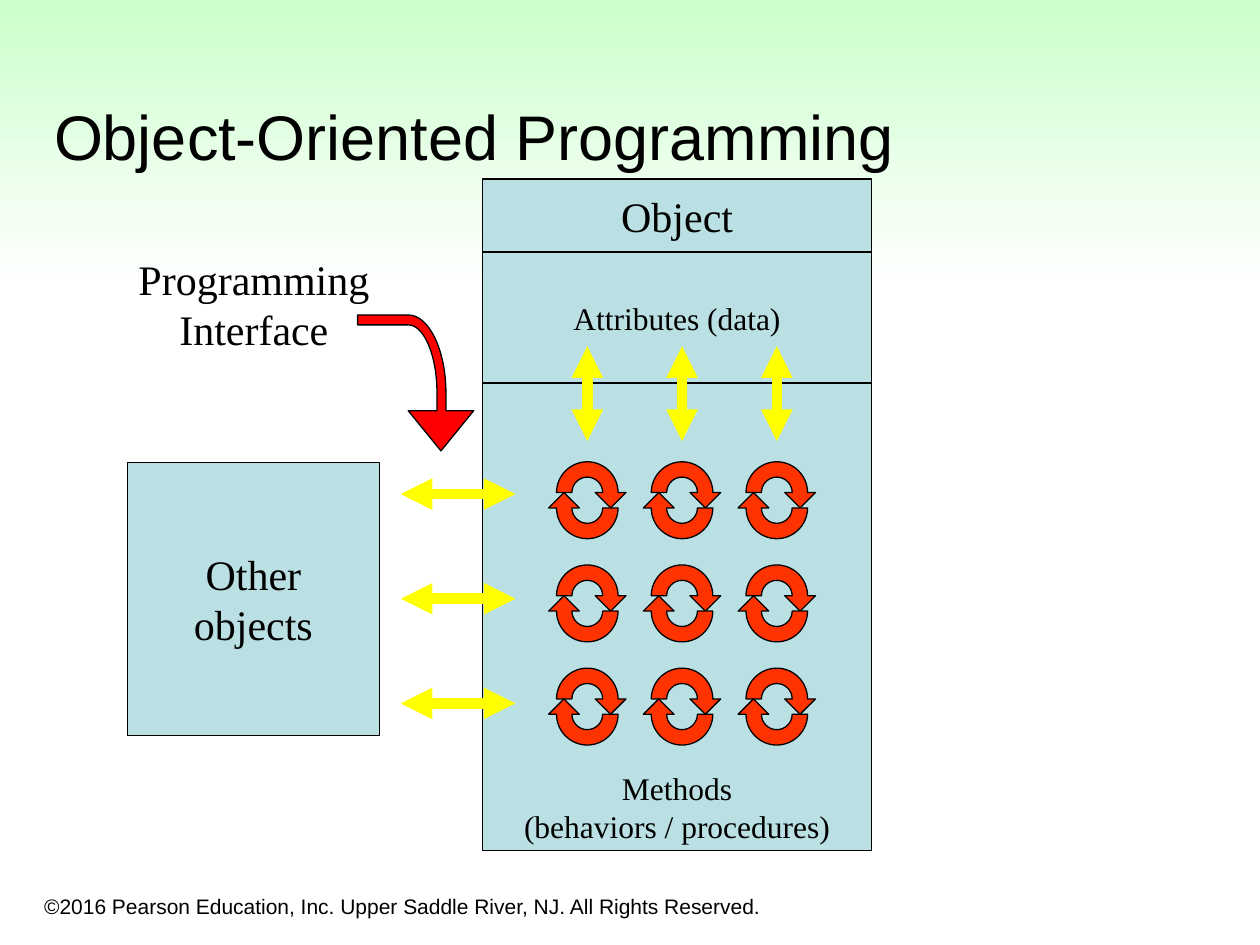
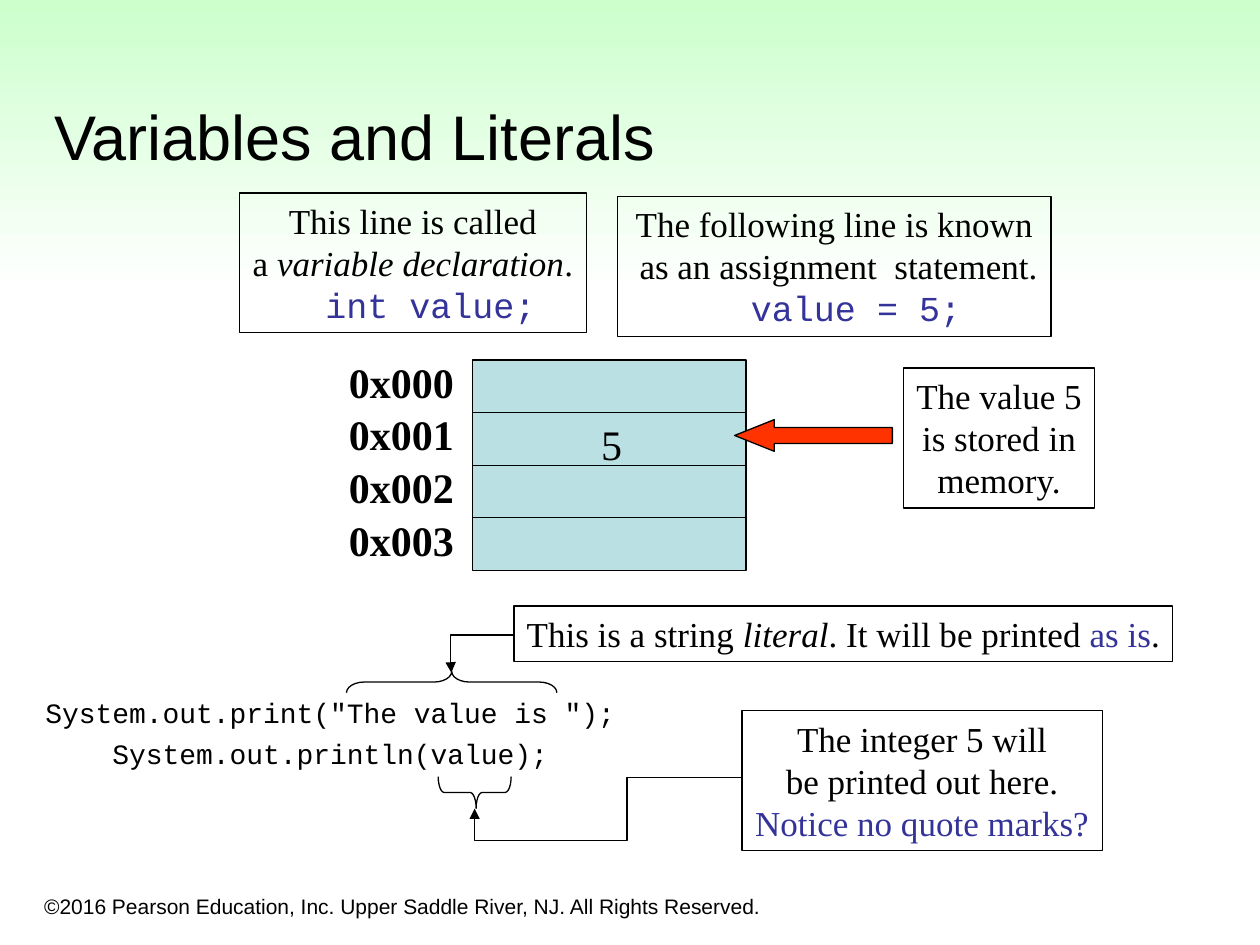
from math import cos, pi, sin

from lxml import etree
from pptx import Presentation
from pptx.dml.color import RGBColor
from pptx.enum.shapes import MSO_CONNECTOR, MSO_SHAPE
from pptx.enum.text import MSO_ANCHOR, PP_ALIGN
from pptx.oxml.ns import qn
from pptx.util import Cm, Pt

RECTANGLE, LEFT_BRACE, LEFT_ARROW = MSO_SHAPE.RECTANGLE, MSO_SHAPE.LEFT_BRACE, MSO_SHAPE.LEFT_ARROW
STRAIGHT, ELBOW = MSO_CONNECTOR.STRAIGHT, MSO_CONNECTOR.ELBOW
TOP, MIDDLE, BOTTOM = MSO_ANCHOR.TOP, MSO_ANCHOR.MIDDLE, MSO_ANCHOR.BOTTOM
LEFT, CENTER = PP_ALIGN.LEFT, PP_ALIGN.CENTER

BLACK, WHITE, MINT, TEAL = "000000", "FFFFFF", "CCFFCC", "BBE0E3"
RED, ORANGE, YELLOW, INDIGO = "FF0000", "FF3300", "FFFF00", "333399"
SANS, SERIF, MONO = "Arial", "Times New Roman", "Courier New"
LINE_BREAK = "\v"
CURVE_PULL = 0.55
FOOTER = "©2016 Pearson Education, Inc. Upper Saddle River, NJ. All Rights Reserved."

TITLE_FONT = {"name": SANS, "size": Pt(36)}
FOOTER_FONT = {"name": SANS, "size": Pt(12)}
HEADING_FONT = {"name": SERIF, "size": Pt(24)}
NOTE_FONT = {"name": SERIF, "size": Pt(20)}
PART_FONT = {"name": SERIF, "size": Pt(18)}
CODE_FONT = {"name": MONO, "size": Pt(16)}
CODE_SPACING = {"line_spacing": 0.9, "space_before": Pt(3.2), "space_after": Pt(3.2)}
ITALIC = {"italic": True}
BLUE = {"color": INDIGO}
BLUE_CODE = {"color": INDIGO, "name": MONO}


def rgb(value):
    return RGBColor.from_string(value)


def set_all(target, values):
    for name, value in values.items():
        setattr(target, name, value)


def write_text(shape, lines, font, anchor=TOP, align=CENTER, wrap=False, spacing=None):
    """Write lines, each a string or a list of (text, font changes) spans."""
    frame = shape.text_frame
    set_all(frame, {"word_wrap": wrap, "vertical_anchor": anchor})
    for index, line in enumerate(lines):
        para = frame.add_paragraph() if index else frame.paragraphs[0]
        set_all(para, {"alignment": align, **(spacing or {})})
        if index == 0:
            para.space_before = Pt(0)
        for text, changes in [(line, {})] if isinstance(line, str) else line:
            if text == LINE_BREAK:
                para.add_line_break()
                continue
            span = para.add_run()
            span.text = text
            values = {**font, **changes}
            span.font.color.rgb = rgb(values.pop("color", BLACK))
            set_all(span.font, values)


def add_text(page, box, lines, font, **options):
    shape = page.shapes.add_textbox(*map(Cm, box))
    write_text(shape, lines, font, **options)


def paint(shape, fill=None):
    shape.shadow.inherit = False
    if fill:
        shape.fill.solid()
        shape.fill.fore_color.rgb = rgb(fill)
    else:
        shape.fill.background()
    shape.line.color.rgb = rgb(BLACK)
    shape.line.width = Pt(0.75)


def add_shape(page, kind, box, fill=None, adjustments=(), rotation=0):
    shape = page.shapes.add_shape(kind, *map(Cm, box))
    paint(shape, fill)
    shape.rotation = rotation
    for index, value in enumerate(adjustments):
        shape.adjustments[index] = value
    return shape


def arc(radius_x, radius_y, start, end):
    """Steps along an ellipse about the origin, with angles in quarter turns."""
    turn = 1 if end > start else -1
    corners = [(radius_x * cos(pi / 2 * quarter), -radius_y * sin(pi / 2 * quarter))
               for quarter in range(start, end + turn, turn)]
    steps = [corners[:1]]
    for (x1, y1), (x2, y2) in zip(corners, corners[1:]):
        steps.append([(x1 + CURVE_PULL * x2, y1 + CURVE_PULL * y2),
                      (x2 + CURVE_PULL * x1, y2 + CURVE_PULL * y1), (x2, y2)])
    return steps


def corners(*points):
    return [[point] for point in points]


def add_outline(page, steps, origin, fill, turn=1):
    """Draw a closed outline of steps: one point for a line, three for a curve."""
    points = [(Cm(origin[0] + turn * x), Cm(origin[1] + turn * y)) for step in steps for x, y in step]
    builder = page.shapes.build_freeform(*points[0], scale=1.0)
    builder.add_line_segments(points[1:], close=True)
    shape = builder.convert_to_shape()
    paint(shape, fill)
    segments = iter(list(shape._element.spPr.iter(qn("a:lnTo"))))
    for step in steps[1:]:
        parts = [next(segments) for _ in step]
        if len(parts) == 3:
            curve = etree.Element(qn("a:cubicBezTo"))
            parts[0].addprevious(curve)
            for part in parts:
                curve.append(part[0])
                part.getparent().remove(part)


def add_line(page, kind, start, end, color, width, ends):
    line = page.shapes.add_connector(kind, *map(Cm, (*start, *end)))
    line.line.color.rgb = rgb(color)
    line.line.width = Pt(width)
    for end_name in ends:
        etree.SubElement(line.line._get_or_add_ln(), qn(f"a:{end_name}"), type="triangle")
    etree.SubElement(line._element.spPr, qn("a:effectLst"))
    return line


def double_arrow(page, start, end):
    add_line(page, STRAIGHT, start, end, YELLOW, 6, ("headEnd", "tailEnd"))


def elbow_arrow(page, start, end, preset, bends):
    line = add_line(page, ELBOW, start, end, BLACK, 0.75, ("tailEnd",))
    geometry = line._element.spPr.find(qn("a:prstGeom"))
    geometry.set("prst", preset)
    guides = geometry.find(qn("a:avLst"))
    for number, bend in enumerate(bends, 1):
        etree.SubElement(guides, qn("a:gd"), name=f"adj{number}", fmla=f"val {round(bend * 100000)}")


def base_page(deck, title):
    """Add a page with the shared band, footer and title."""
    page = deck.slides.add_slide(deck.slide_layouts[6])
    band = add_shape(page, RECTANGLE, (0, 0, 25.4, 5.89))
    band.line.fill.background()
    band.fill.gradient()
    band.fill.gradient_angle = 270
    for stop, color, position in zip(band.fill.gradient_stops, (MINT, WHITE), (0, 1)):
        stop.color.rgb = rgb(color)
        stop.position = position
    add_text(page, (0.64, 17.58, 15.44, 1.07), [FOOTER], FOOTER_FONT,
             anchor=BOTTOM, align=LEFT, wrap=True)
    add_text(page, (0.84, 0.84, 23.93, 2.77), [title], TITLE_FONT,
             anchor=BOTTOM, align=LEFT, wrap=True)
    return page


def method_cycle(page, center_x, center_y):
    """Draw two half-ring arrows, the second being the first turned half round."""
    head = corners((0.78, 0), (0.47, 0.31), (0.16, 0))
    half_ring = arc(0.31, 0.31, 0, 2) + arc(0.62, 0.62, 2, 0) + head
    add_outline(page, half_ring, (center_x, center_y), ORANGE)
    add_outline(page, half_ring, (center_x, center_y + 0.31), ORANGE, turn=-1)


def object_panel(page, left, top, width):
    methods = [[("Methods", {}), (LINE_BREAK, {}), ("(behaviors / procedures)", {})]]
    sections = [
        (1.47, ["Object"], HEADING_FONT, MIDDLE),
        (2.64, ["Attributes (data)"], PART_FONT, MIDDLE),
        (9.43, methods, PART_FONT, BOTTOM),
    ]
    section_top = top
    for height, lines, font, anchor in sections:
        section = add_shape(page, RECTANGLE, (left, section_top, width, height), TEAL)
        write_text(section, lines, font, anchor=anchor)
        section_top += height
    for column in range(3):
        center_x = left + 2.11 + 1.91 * column
        for row in range(3):
            method_cycle(page, center_x, top + 6.32 + 2.08 * row)
        double_arrow(page, (center_x, top + 5.28), (center_x, top + 3.37))


def other_objects(page, left, top, width, height):
    for row in range(3):
        arrow_y = top + 0.64 + 2.11 * row
        double_arrow(page, (left + width + 2.74, arrow_y), (left + width + 0.43, arrow_y))
    block = add_shape(page, RECTANGLE, (left, top, width, height), TEAL)
    write_text(block, ["Other", "objects"], HEADING_FONT, anchor=MIDDLE)


def interface_label(page, left, top, width, height):
    add_text(page, (left, top, width, height), ["Programming", "Interface"], HEADING_FONT)
    head_right = corners((0.66, 1.17), (1.32, 0.36), (0.76, 0.36))
    shaft_start = corners((-1.02, -1.57), (-1.02, -1.37))
    head_left = corners((0.58, 0.36), (0, 0.36))
    bent_arrow = head_right + arc(0.76, 1.57, 0, 1) + shaft_start + arc(0.58, 1.37, 1, 0) + head_left
    add_outline(page, bent_arrow, (left + 5.69, top + 2.94), RED)


def note(page, box, lines, last_indent=0):
    shape = add_shape(page, RECTANGLE, box)
    write_text(shape, lines, NOTE_FONT)
    if last_indent:
        last_para = shape.text_frame.paragraphs[-1]
        last_para._p.get_or_add_pPr().set("marL", str(Cm(last_indent)))


def memory_cells(page, left, top, width):
    row_height = 1.06
    for row in range(4):
        row_top = top + row * row_height
        add_shape(page, RECTANGLE, (left, row_top, width, row_height), TEAL)
        add_text(page, (left - 2.75, row_top - 0.2, 2.62, 1.27), [f"0x{row:03}"],
                 {**HEADING_FONT, "bold": True})
    add_text(page, (left + 2.33, top + row_height, 0.94, 1.27), ["5"], HEADING_FONT)
    add_shape(page, LEFT_ARROW, (left + 5.28, top + 1.2, 3.18, 0.64), ORANGE, (0.5, 1.25))


def print_example(page, left, top):
    """Place the two code lines with their braces, notes and arrows."""
    add_text(page, (left, top, 12.04, 1.88),
             ['System.out.print("The value is ");', "System.out.println(value);"],
             CODE_FONT, spacing=CODE_SPACING)
    elbow_arrow(page, (left + 9.72, top - 1.17), (left + 8.46, top - 0.41),
                "bentConnector3", (1.01,))
    note(page, (left + 9.72, top - 1.75, 13.28, 1.12),
         [[("This is a string ", {}), ("literal", ITALIC), (". It will be printed ", {}),
           ("as is", BLUE), (".", {})]])
    add_shape(page, LEFT_BRACE, (left + 8.25, top - 2.34, 0.43, 4.24),
              adjustments=(0.83, 0.5), rotation=90)
    add_shape(page, LEFT_BRACE, (left + 8.61, top + 1.27, 0.64, 1.47),
              adjustments=(0.19, 0.52), rotation=270)
    note(page, (left + 14.32, top + 0.36, 7.26, 2.82),
         ["The integer 5 will", "be printed out here.", [("Notice no quote marks?", BLUE)]])
    elbow_arrow(page, (left + 14.32, top + 1.7), (left + 8.93, top + 2.33),
                "bentConnector4", (0.43, 2.03))


def object_page(deck):
    page = base_page(deck, "Object-Oriented Programming")
    object_panel(page, 9.73, 3.61, 7.84)
    other_objects(page, 2.57, 9.32, 5.08, 5.51)
    interface_label(page, 2.54, 4.98, 5.16, 2.29)


def variables_page(deck):
    page = base_page(deck, "Variables and Literals")
    note(page, (4.83, 3.89, 6.99, 2.82),
         ["This line is called", [("a ", {}), ("variable declaration", ITALIC), (".", {})],
          [("int value;", BLUE_CODE)]], last_indent=0.71)
    note(page, (12.45, 3.96, 8.74, 2.82),
         ["The following line is known", " as an assignment  statement.",
          [("value = 5;", BLUE_CODE)]], last_indent=0.88)
    print_example(page, 0.64, 13.97)
    memory_cells(page, 9.53, 7.26, 5.51)
    note(page, (18.21, 7.42, 3.86, 2.82), ["The value 5", "is stored in", "memory."])


def main():
    deck = Presentation()
    deck.slide_width, deck.slide_height = Cm(25.4), Cm(19.05)
    object_page(deck)
    variables_page(deck)
    deck.save("out.pptx")


if __name__ == "__main__":
    main()
